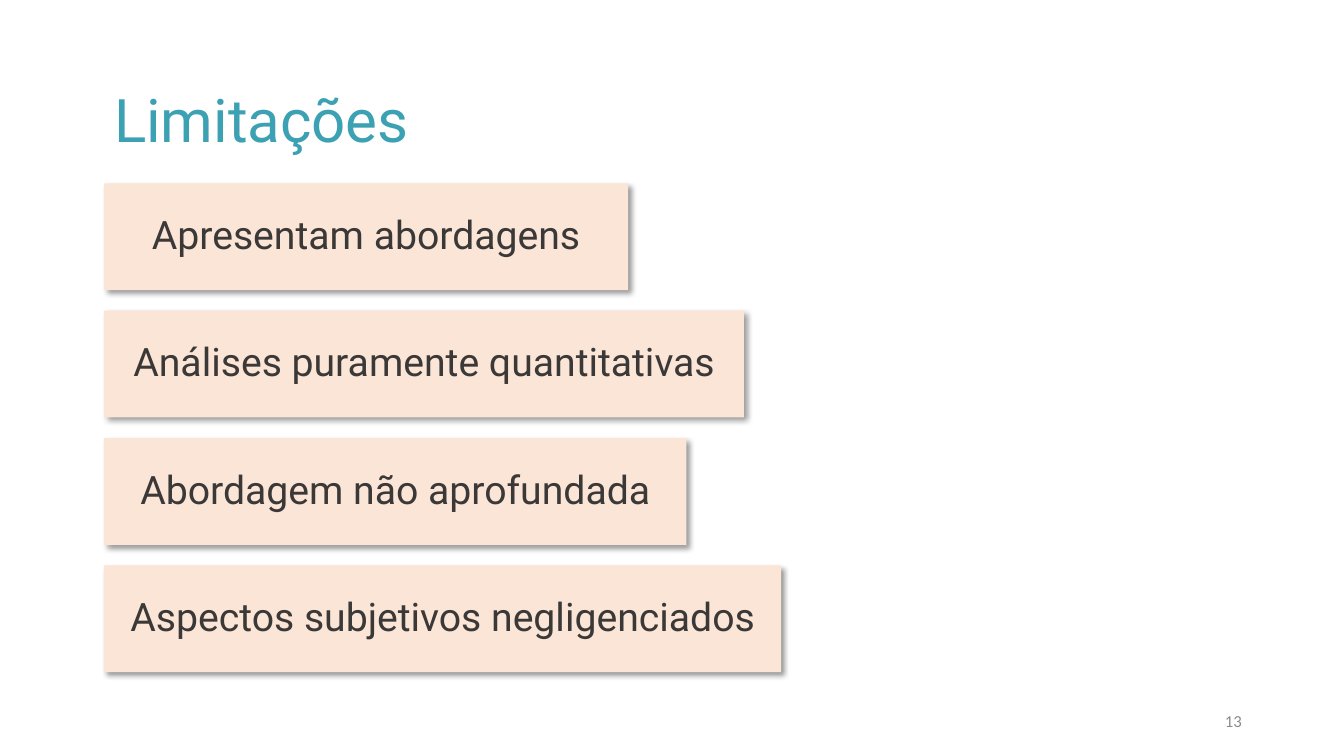
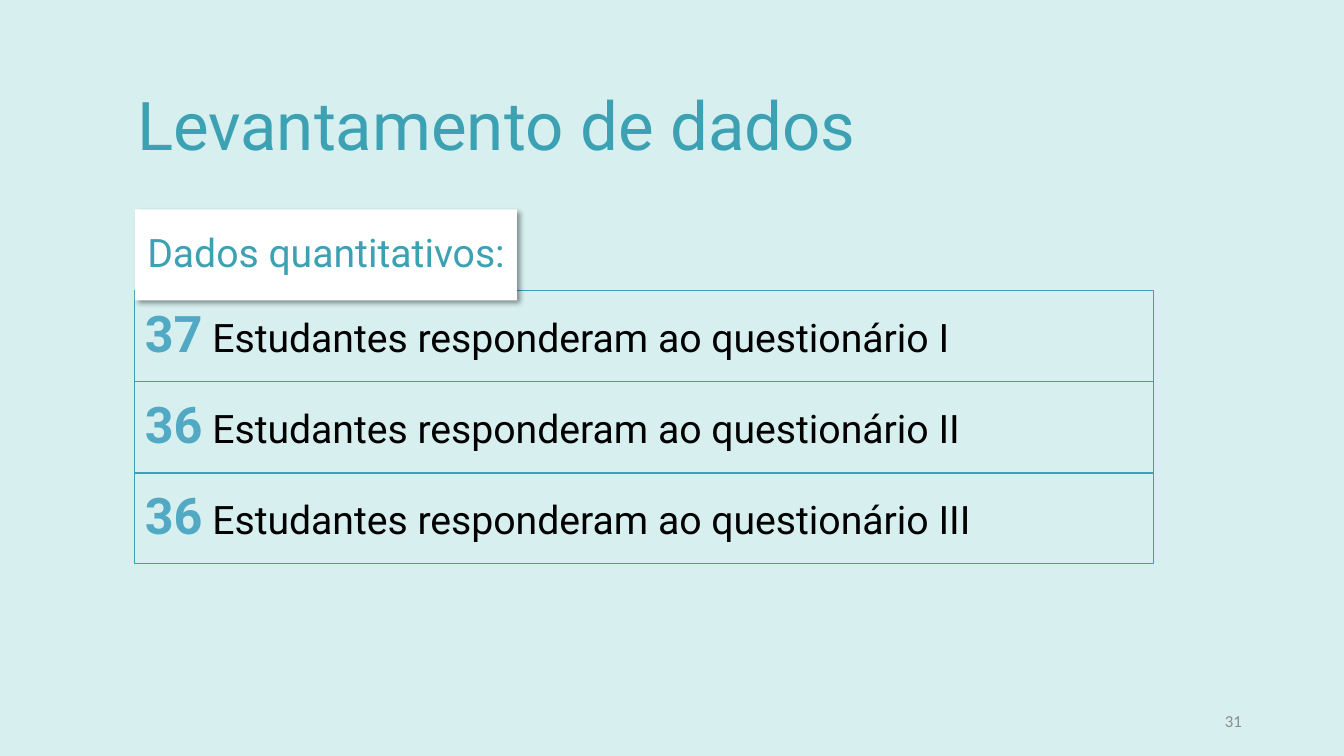
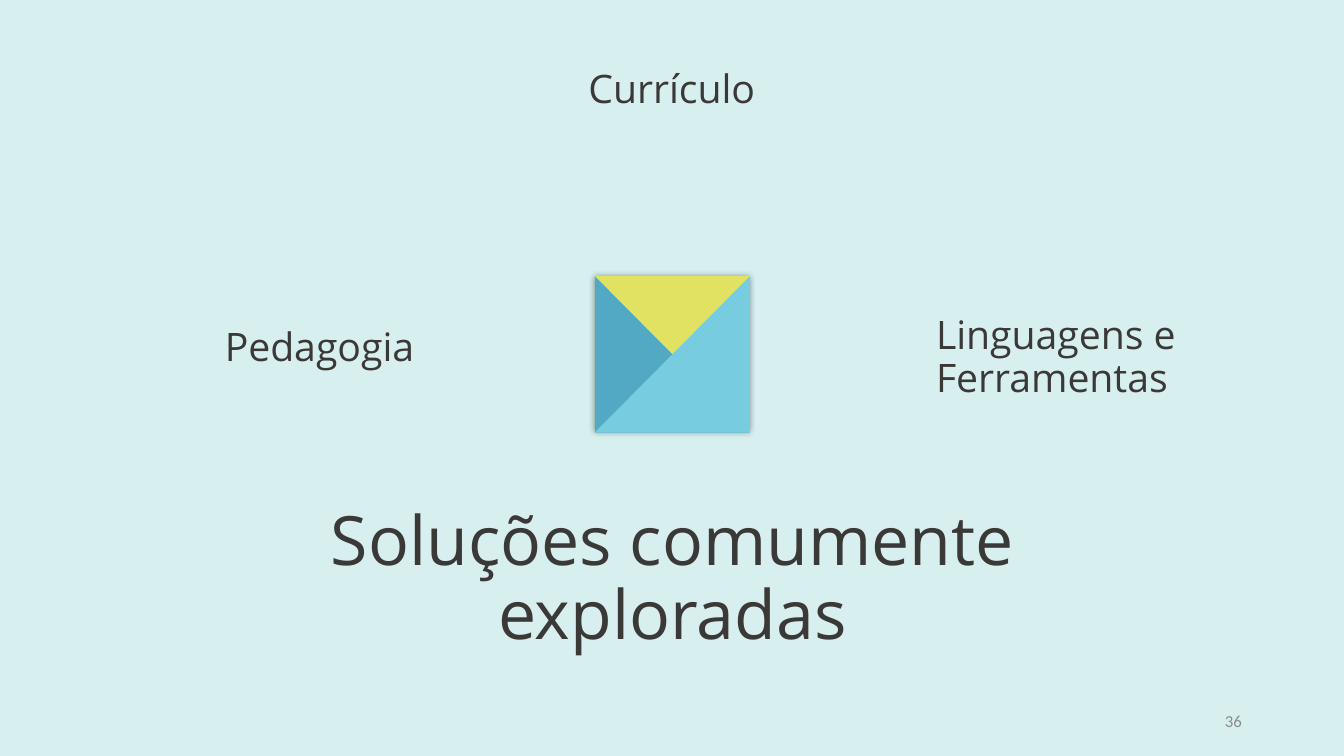
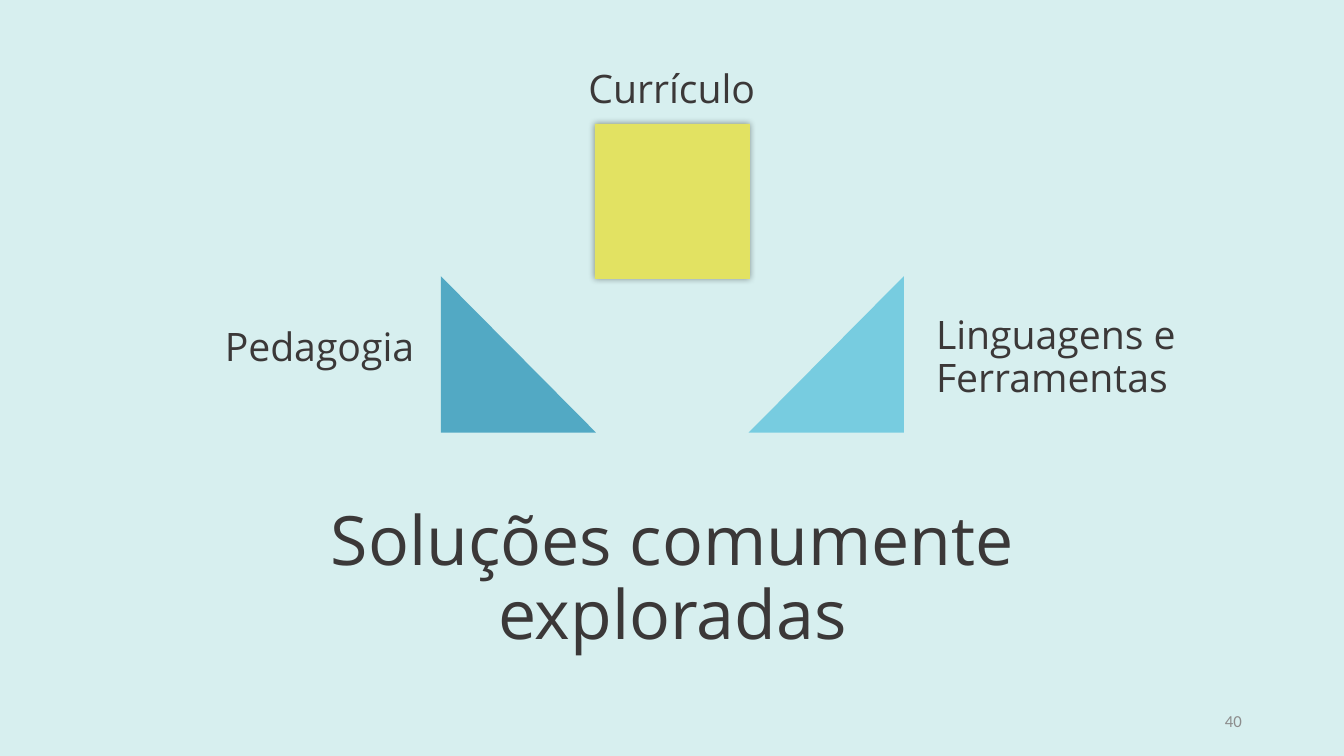
"""Build four slides on study limitations, collected data and explored solutions."""
import dataclasses

import lxml.etree
import pptx
import pptx.dml.color
import pptx.enum.shapes
import pptx.enum.text
import pptx.oxml.ns
import pptx.util

Cm = pptx.util.Cm
Align = pptx.enum.text.PP_ALIGN
Preset = pptx.enum.shapes.MSO_SHAPE


@dataclasses.dataclass(frozen=True)
class Theme:
    white: str = "FFFFFF"
    mint: str = "D7EFEF"
    peach: str = "FBE5D6"
    teal: str = "3CA1B3"
    blue: str = "52A9C4"
    sky: str = "77CCE0"
    lime: str = "E2E262"
    dark: str = "3B3838"
    black: str = "000000"
    gray: str = "8C8C8C"
    main: str = "Roboto"
    alternate: str = "Open Sans"
    footer: str = "Calibri"
    body_size: float = 28
    figure_size: float = 36
    footer_size: float = 12


theme = Theme()


def write(shape, spans, align=Align.LEFT, spacing=0.9):
    """Fill a shape with one paragraph of (text, size, font, colour, bold) spans."""
    frame = shape.text_frame
    frame_format = {
        "word_wrap": True,
        "auto_size": pptx.enum.text.MSO_AUTO_SIZE.NONE,
        "vertical_anchor": pptx.enum.text.MSO_ANCHOR.MIDDLE,
    }
    for name, value in frame_format.items():
        setattr(frame, name, value)
    para = frame.paragraphs[0]
    for name, value in {"alignment": align, "line_spacing": spacing}.items():
        setattr(para, name, value)
    for text, size, font, colour, bold in spans:
        span = para.add_run()
        span.text = text
        span_format = {"size": pptx.util.Pt(size), "name": font, "bold": bold}
        for name, value in span_format.items():
            setattr(span.font, name, value)
        span.font.color.rgb = pptx.dml.color.RGBColor.from_string(colour)


def draw(page, preset, place, fill=None, line=None, shadow=None):
    """Add a preset shape; shadow is (blur, distance) in points."""
    shape = page.shapes.add_shape(preset, *map(Cm, place))
    shape.shadow.inherit = False
    for paint, colour in ((shape.fill, fill), (shape.line.fill, line)):
        if colour:
            paint.solid()
            paint.fore_color.rgb = pptx.dml.color.RGBColor.from_string(colour)
        else:
            paint.background()
    if line:
        shape.line.width = pptx.util.Pt(0.75)
    if shadow:
        blur, distance = map(pptx.util.Pt, shadow)
        qn = pptx.oxml.ns.qn
        effects = shape.element.spPr.find(qn("a:effectLst"))
        outer = lxml.etree.SubElement(effects, qn("a:outerShdw"))
        angle = 45 * 60000 if distance else 0
        for name, value in {"blurRad": blur, "dist": distance, "dir": angle}.items():
            outer.set(name, str(int(value)))
        outer.set("algn", "tl" if distance else "ctr")
        outer.set("rotWithShape", "0")
        tint = lxml.etree.SubElement(outer, qn("a:srgbClr"), val=theme.black)
        lxml.etree.SubElement(tint, qn("a:alpha"), val="40000")
    return shape


deck = pptx.Presentation()
deck.slide_width, deck.slide_height = Cm(33.87), Cm(19.05)

solutions = ("Soluções comumente exploradas", (7.57, 12.78, 18.75, 3.68),
             48.6, theme.alternate, theme.dark, Align.CENTER, 0.9)
page_plans = [
    ("13", theme.white, ("Limitações", (2.62, 2.24, 29.21, 1.85),
                         42.9, theme.main, theme.teal, Align.LEFT, 0.8)),
    ("31", theme.mint, ("Levantamento de dados", (3.2, 1.45, 23.19, 3.58),
                        48, theme.main, theme.teal, Align.LEFT, 0.9)),
    ("36", theme.mint, solutions),
    ("40", theme.mint, solutions),
]
pages = []
for number, background, heading in page_plans:
    page = deck.slides.add_slide(deck.slide_layouts[5])
    page.background.fill.solid()
    page.background.fill.fore_color.rgb = pptx.dml.color.RGBColor.from_string(background)
    text, place, size, font, colour, align, spacing = heading
    title = page.shapes.title
    for name, value in zip(("left", "top", "width", "height"), place):
        setattr(title, name, Cm(value))
    write(title, [(text, size, font, colour, False)], align, spacing)
    number_box = page.shapes.add_textbox(*map(Cm, (23.93, 17.65, 7.62, 1.02)))
    write(number_box, [(number, theme.footer_size, theme.footer, theme.gray, False)],
          Align.RIGHT, 1.0)
    pages.append(page)
limits_page, data_page, *solution_pages = pages

limits = [
    ("Apresentam abordagens", 13.21),
    ("Análises puramente quantitativas", 16.13),
    ("Abordagem não aprofundada", 14.68),
    ("Aspectos subjetivos negligenciados", 17.07),
]
for index, (text, width) in enumerate(limits):
    card = draw(limits_page, Preset.RECTANGLE, (2.62, 4.62 + 3.21 * index, width, 2.69),
                theme.peach, shadow=(4, 3))
    write(card, [(text, theme.body_size, theme.main, theme.dark, False)], Align.CENTER)

answers = [("37", "I"), ("36", "II"), ("36", "III")]
for index, (count, survey) in enumerate(answers):
    row = draw(data_page, Preset.RECTANGLE, (3.4, 7.32 + 2.3 * index, 25.66, 2.29),
               line=theme.teal)
    write(row, [
        (count, theme.figure_size, theme.main, theme.blue, True),
        (f" Estudantes responderam ao questionário {survey}",
         theme.body_size, theme.main, theme.black, False),
    ])
label = draw(data_page, Preset.RECTANGLE, (3.4, 5.28, 9.63, 2.29),
             theme.white, shadow=(4, 3))
write(label, [("Dados quantitativos:", theme.body_size, theme.main, theme.teal, False)],
      Align.CENTER)

topics = [
    ("Pedagogia", (1.37, 6.96, 9.32, 3.68), Align.RIGHT),
    ("Linguagens e Ferramentas", (23.34, 7.19, 9.32, 3.68), Align.LEFT),
    ("Currículo", (12.27, 1.3, 9.32, 1.96), Align.CENTER),
]
side, center_left, center_top = 3.91, 14.99, 6.96
for page, square_rise, spread in zip(solution_pages, (0, 3.84), (0, 3.88)):
    draw(page, Preset.RECTANGLE, (center_left, center_top - square_rise, side, side),
         theme.lime, shadow=(5, 0))
    for direction, colour in ((-1, theme.blue), (1, theme.sky)):
        triangle = draw(page, Preset.RIGHT_TRIANGLE,
                        (center_left + direction * spread, center_top, side, 3.94), colour)
        if direction == 1:
            triangle.element.spPr.find(pptx.oxml.ns.qn("a:xfrm")).set("flipH", "1")
    for text, place, align in topics:
        topic = page.shapes.add_textbox(*map(Cm, place))
        write(topic, [(text, theme.body_size, theme.alternate, theme.dark, False)], align)

deck.save("out.pptx")
